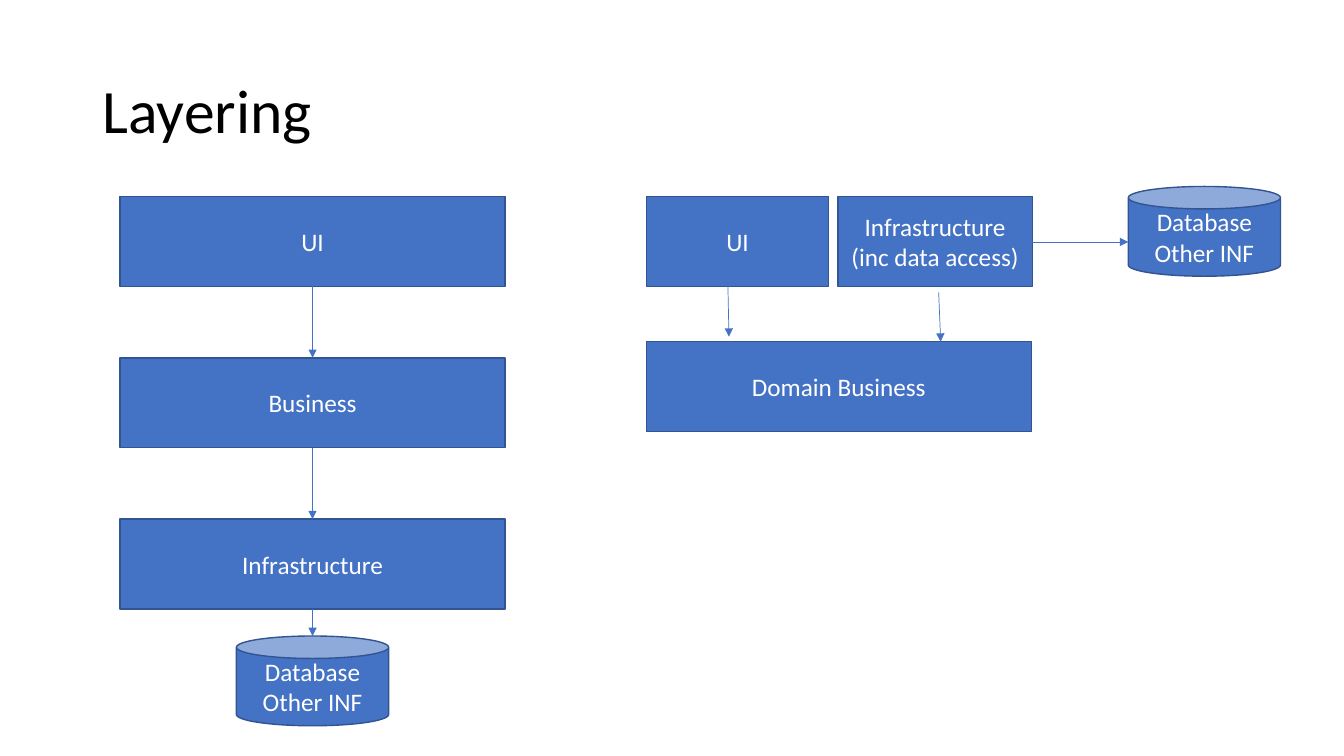
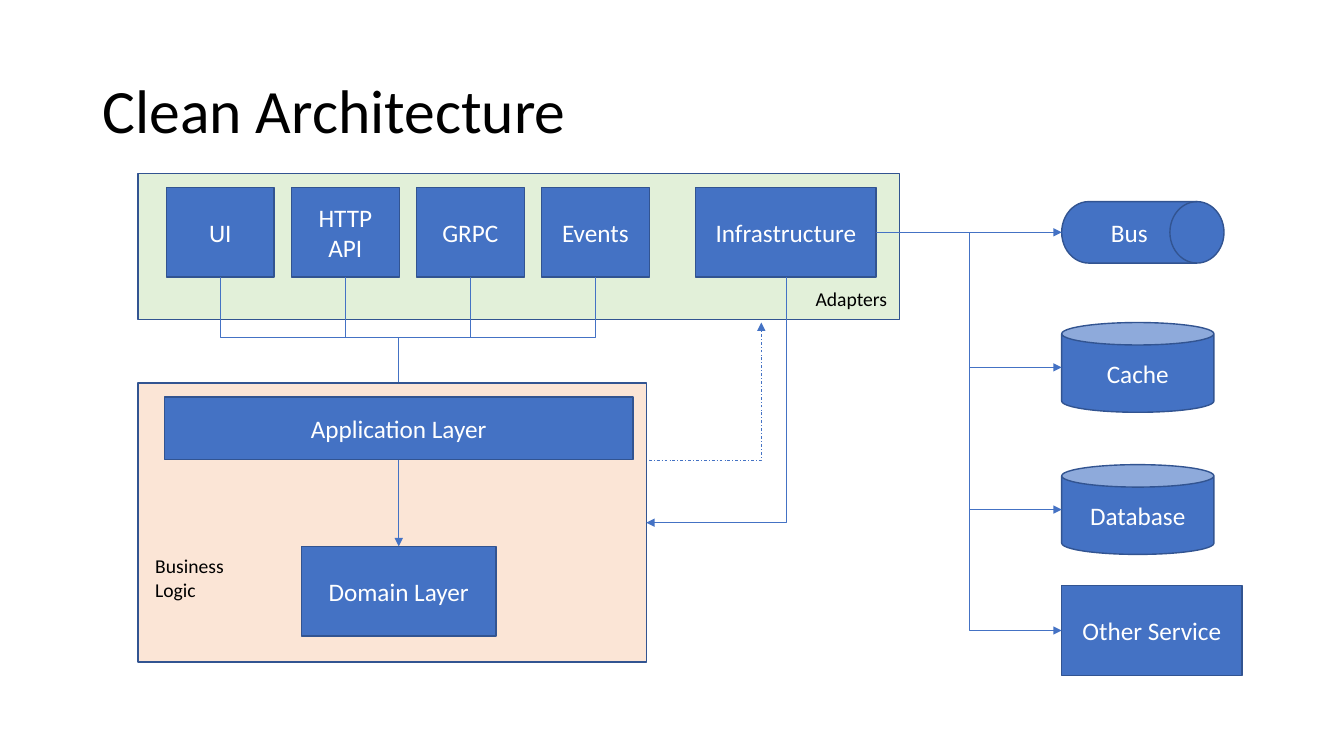
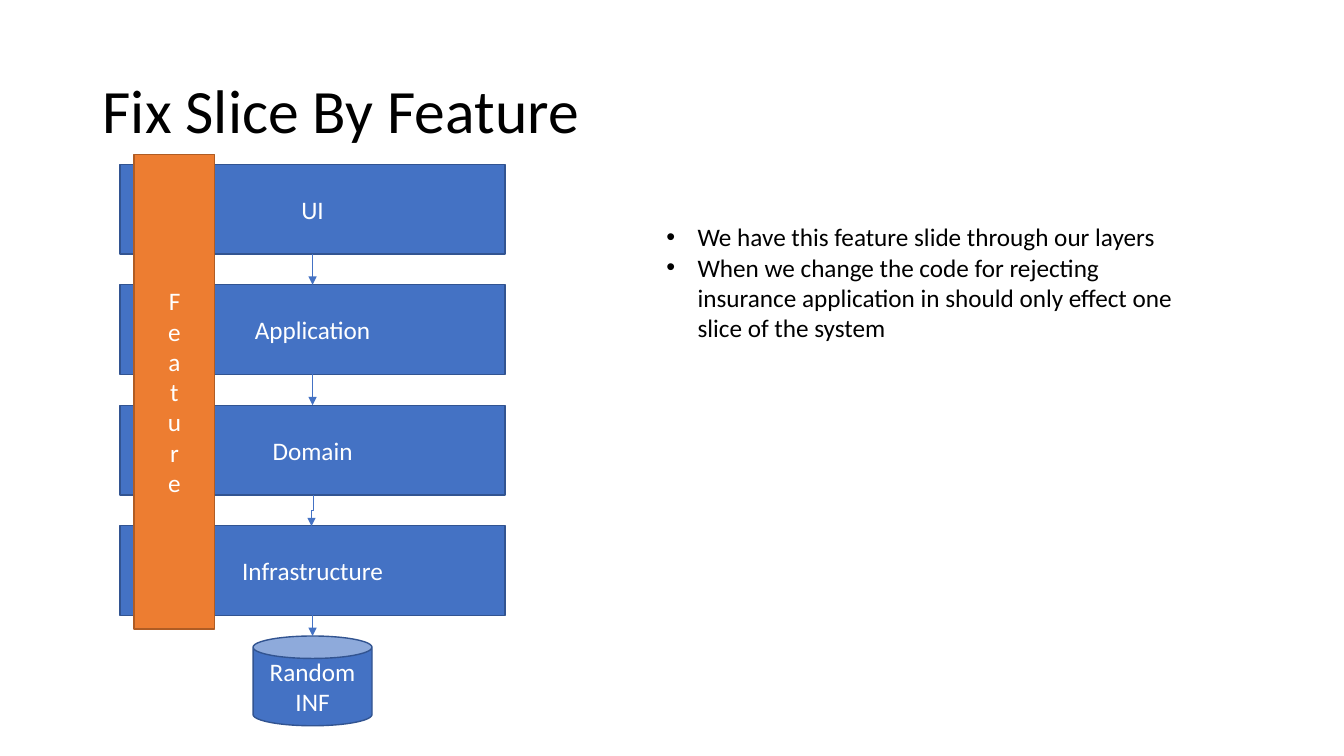
from pptx import Presentation
from pptx import util as u
from pptx.dml.color import RGBColor
from pptx.enum import dml, shapes, text
from pptx.oxml.ns import qn
from lxml import etree

COLORS = {
    "blue": "4472C4", "navy": "325491", "orange": "ED7D31", "brown": "AF5C24",
    "green": "E2F0D9", "peach": "FBE5D6", "white": "FFFFFF", "black": "000000",
}
FONT = "Calibri"
BOX_H = 0.89
STACK_X, STACK_W = 1.19, 3.82
STACK_MID = STACK_X + STACK_W / 2
SITES = {"top": (0, 0.5, 0), "left": (1, 0, 0.5), "bottom": (2, 0.5, 1), "right": (3, 1, 0.5)}
SHAPE = shapes.MSO_SHAPE
ALIGN, ANCHOR = text.PP_ALIGN, text.MSO_ANCHOR


def rgb(name):
    return RGBColor.from_string(COLORS[name])


def write(tf, content, size=18, color="black", align=ALIGN.LEFT, anchor=ANCHOR.TOP,
          spacing=None, bullet=False, wrap=True):
    """Fill a text frame, one paragraph per line of content."""
    tf.word_wrap = wrap
    tf.vertical_anchor = anchor
    for i, line in enumerate(content.split("\n")):
        p = tf.add_paragraph() if i else tf.paragraphs[0]
        p.alignment = align
        if spacing:
            p.line_spacing = spacing
        if bullet:
            pPr = p._p.get_or_add_pPr()
            indent = u.Inches(0.31)
            pPr.set("marL", str(indent))
            pPr.set("indent", str(-indent))
            etree.SubElement(pPr, qn("a:buFont")).set("typeface", "Arial")
            etree.SubElement(pPr, qn("a:buChar")).set("char", "•")
        r = p.add_run()
        r.text = line
        r.font.name, r.font.size = FONT, u.Pt(size)
        r.font.color.rgb = rgb(color)


class Deck:
    def __init__(self):
        self.prs = Presentation()
        self.prs.slide_width, self.prs.slide_height = u.Inches(13.33), u.Inches(7.5)
        self.s = None

    def slide(self, title):
        self.s = self.prs.slides.add_slide(self.prs.slide_layouts[6])
        self.text(title, 0.92, 0.4, 11.5, 1.45, size=44, anchor=ANCHOR.MIDDLE, spacing=0.9)

    def text(self, content, x, y, w, h, **style):
        tb = self.s.shapes.add_textbox(*map(u.Inches, (x, y, w, h)))
        write(tb.text_frame, content, **style)

    def box(self, label, x, y, w, h=BOX_H, kind=SHAPE.RECTANGLE, fill="blue", line="navy"):
        sp = self.s.shapes.add_shape(kind, *map(u.Inches, (x, y, w, h)))
        sp.shadow.inherit = False
        sp.fill.solid()
        sp.fill.fore_color.rgb = rgb(fill)
        sp.line.color.rgb = rgb(line)
        sp.line.width = u.Pt(1)
        if label:
            write(sp.text_frame, label, color="white", align=ALIGN.CENTER, anchor=ANCHOR.MIDDLE)
        return sp

    def can(self, label, x, y, w=1.51):
        return self.box(label, x, y, w, kind=SHAPE.CAN)

    def stack(self, labels, y, pitch):
        """Equal layers, one above the other."""
        return [self.box(label, STACK_X, y + i * pitch, STACK_W) for i, label in enumerate(labels)]

    def arrow(self, start, end, bend=None, vertical=False, adjust=None, dash=None):
        """Arrow between ends, each an (x, y) point or a (shape, side) pair.

        bend names an elbow preset; vertical makes its first leg vertical.
        """
        kind = shapes.MSO_CONNECTOR.ELBOW if bend else shapes.MSO_CONNECTOR.STRAIGHT
        c = self.s.shapes.add_connector(kind, 0, 0, 0, 0)
        points = []
        for (place, side), glue in ((start, c.begin_connect), (end, c.end_connect)):
            if isinstance(side, str):
                site, fx, fy = SITES[side]
                is_can = place.auto_shape_type == SHAPE.CAN
                glue(place, site + is_can)
                points += [place.left + place.width * fx, place.top + place.height * fy]
            else:
                points += [u.Inches(place), u.Inches(side)]
        x1, y1, x2, y2 = points
        if vertical:
            cx, cy, dx, dy = (x1 + x2) / 2, (y1 + y2) / 2, x2 - x1, y2 - y1
            x1, y1, x2, y2 = cx - dy / 2, cy + dx / 2, cx + dy / 2, cy - dx / 2
        c.begin_x, c.begin_y, c.end_x, c.end_y = map(round, (x1, y1, x2, y2))

        spPr = c._element.spPr
        if vertical:
            spPr.find(qn("a:xfrm")).set("rot", "5400000")
        if bend:
            geom = spPr.find(qn("a:prstGeom"))
            geom.set("prst", bend)
            if adjust is not None:
                gd = etree.SubElement(geom.find(qn("a:avLst")), qn("a:gd"))
                gd.set("name", "adj1")
                gd.set("fmla", f"val {adjust}")
        c.line.color.rgb = rgb("blue")
        c.line.width = u.Pt(0.5)
        if dash:
            c.line.dash_style = dash
        etree.SubElement(c.line._get_or_add_ln(), qn("a:tailEnd")).set("type", "triangle")
        etree.SubElement(spPr, qn("a:effectLst"))
        return c

    def chain(self, *items):
        for upper, lower in zip(items, items[1:]):
            self.arrow((upper, "bottom"), (lower, "top"))


def layering(d):
    d.slide("Layering")
    layers = d.stack(["UI", "Business", "Infrastructure"], 1.95, 1.6)
    d.chain(*layers, d.can("Database Other INF", STACK_MID - 1.51 / 2, 6.31))

    d.box("UI", 6.41, 1.95, 1.81)
    d.box("Infrastructure\n(inc data access)", 8.31, 1.95, 1.93)
    d.box("Domain Business", 6.41, 3.39, STACK_W)
    d.can("Database Other INF", 11.19, 1.85)
    d.arrow((7.22, 2.84), (7.23, 3.34))
    d.arrow((9.31, 2.9), (9.33, 3.39))
    d.arrow((10.23, 2.4), (11.19, 2.4))


def clean_architecture(d):
    d.slide("Clean Architecture")
    d.box("", 1.37, 1.72, 7.55, 1.45, fill="green")
    entries = [d.box(label, 1.65 + i * 1.24, 1.86, 1.07)
               for i, label in enumerate(["UI", "HTTP API", "GRPC", "Events"])]
    infra = d.box("Infrastructure", 6.9, 1.86, 1.79)
    d.text("Adapters", 7.99, 2.8, 0.92, 0.34, size=14, wrap=False)

    logic = d.box("", 1.37, 3.8, 5.04, 2.77, fill="peach")
    app = d.box("Application Layer", 1.63, 3.94, 4.65, 0.62)
    domain = d.box("Domain Layer", 2.99, 5.42, 1.93)
    d.text("Business Logic", 1.44, 5.45, 1.18, 0.57, size=14)
    d.chain(app, domain)
    for entry in entries:
        c = d.arrow((entry, "bottom"), (app, "top"), "bentConnector3", vertical=True)
        logic._element.addprevious(c._element)  # the panel covers the arrowheads
    d.arrow((infra, "bottom"), (logic, "right"), "bentConnector2", vertical=True)
    d.arrow((6.44, 4.56), (7.55, 3.2), "bentConnector3", vertical=True, adjust=-400,
            dash=dml.MSO_LINE.DASH_DOT)

    bus = d.box("Bus", 10.53, 2, 1.61, 0.61, kind=SHAPE.FLOWCHART_DIRECT_ACCESS_STORAGE)
    services = [d.can("Cache", 10.53, 3.2), d.can("Database", 10.53, 4.61),
                d.box("Other Service", 10.53, 5.81, 1.79)]
    d.arrow((infra, "right"), (bus, "left"))
    for service in services:
        d.arrow((infra, "right"), (service, "left"), "bentConnector3")


def slice_by_feature(d):
    d.slide("Fix Slice By Feature")
    ui, app, domain, infra = d.stack(["UI", "Application", "Domain", "Infrastructure"], 1.63, 1.195)
    d.chain(ui, app, domain)
    d.arrow((3.11, 4.91), (3.09, 5.22), "bentConnector3", vertical=True)
    d.chain(infra, d.can("Random INF", STACK_MID - 1.18 / 2, 6.31, 1.18))

    feature = d.box("Feature", 1.33, 1.53, 0.8, 4.71, fill="orange", line="brown")
    feature.text_frame._txBody.bodyPr.set("vert", "wordArtVert")
    d.text("We have this feature slide through our layers\n"
           "When we change the code for rejecting insurance application in should only "
           "effect one slice of the system", 6.51, 2.15, 5.45, 1.62, bullet=True)


def main():
    d = Deck()
    layering(d)
    clean_architecture(d)
    slice_by_feature(d)
    d.prs.save("out.pptx")


if __name__ == "__main__":
    main()
